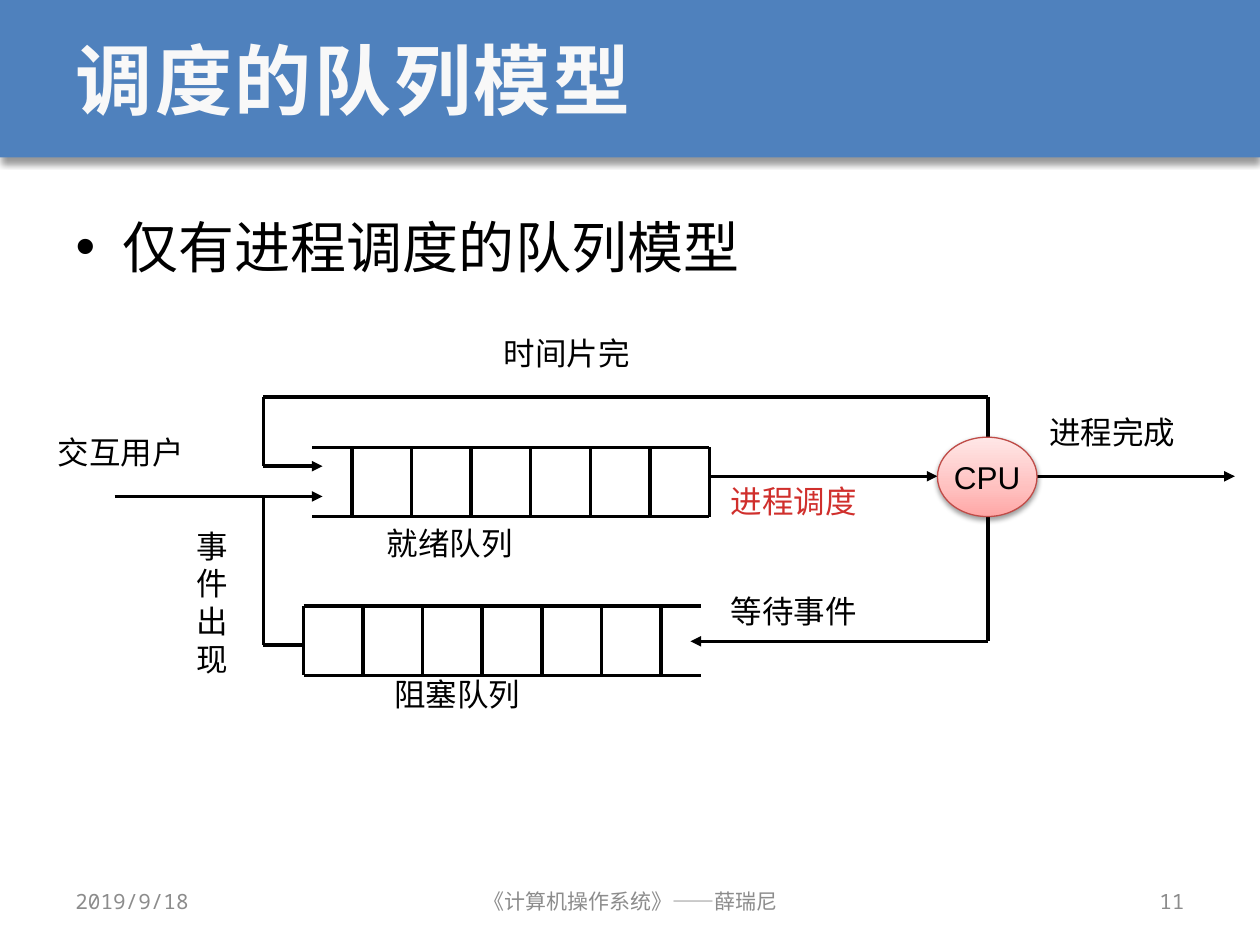
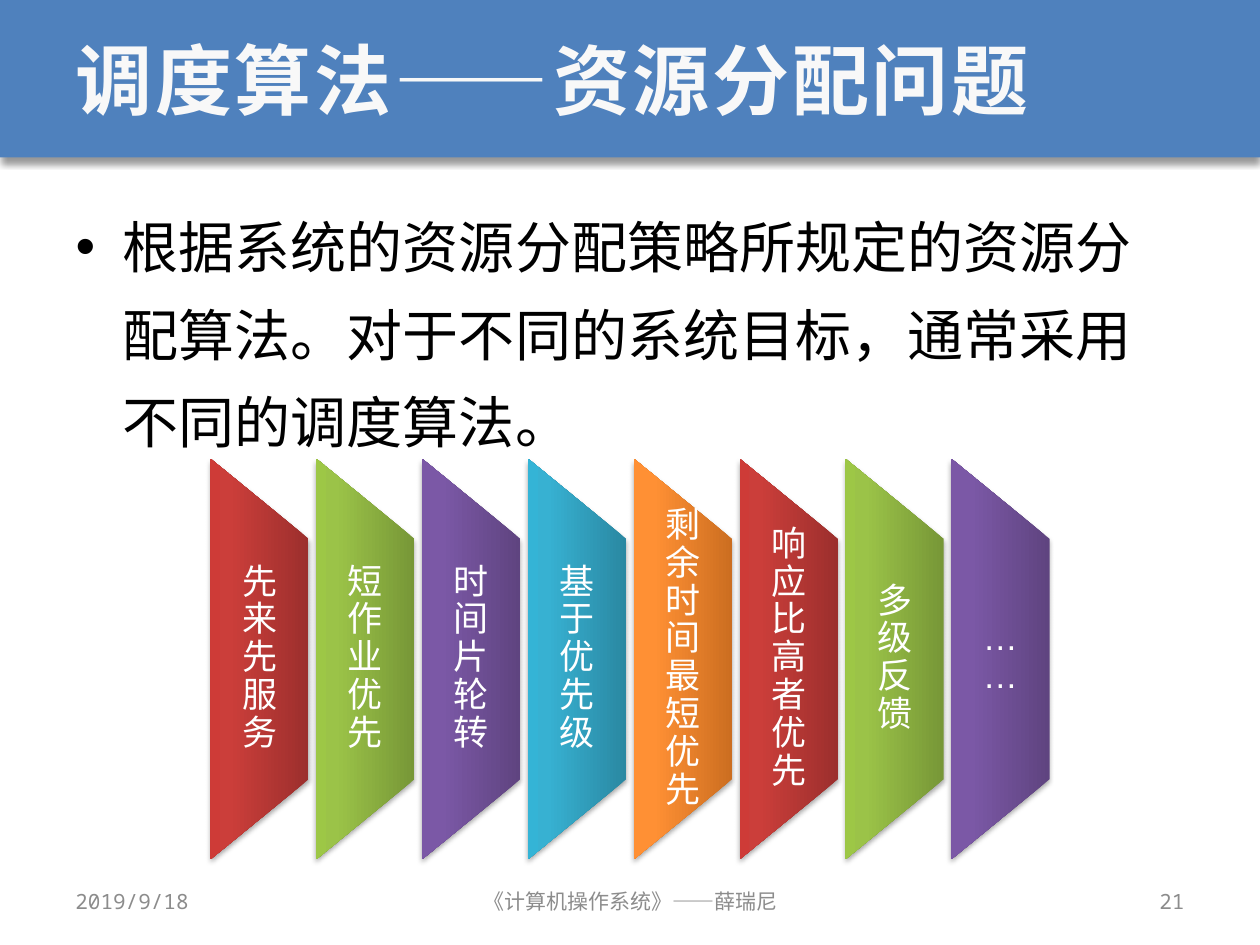
from itertools import cycle, pairwise

from lxml import etree
from pptx import Presentation
from pptx.dml.color import RGBColor
from pptx.enum.shapes import MSO_CONNECTOR, MSO_SHAPE
from pptx.enum.text import MSO_ANCHOR, PP_ALIGN
from pptx.oxml.ns import qn
from pptx.util import Inches, Pt

RECT, OVAL = MSO_SHAPE.RECTANGLE, MSO_SHAPE.OVAL
BLADE = MSO_SHAPE.FLOWCHART_MANUAL_OPERATION
LINE = MSO_CONNECTOR.STRAIGHT
TOP, MIDDLE = MSO_ANCHOR.TOP, MSO_ANCHOR.MIDDLE
LEFT, CENTER, RIGHT = PP_ALIGN.LEFT, PP_ALIGN.CENTER, PP_ALIGN.RIGHT

BLACK = RGBColor(0x00, 0x00, 0x00)
WHITE = RGBColor(0xFF, 0xFF, 0xFF)
PALE = RGBColor(0xF8, 0xF8, 0xF8)
BLUE = RGBColor(0x4F, 0x81, 0xBD)
GRAY = RGBColor(0x8C, 0x8C, 0x8C)
RED = RGBColor(0xD0, 0x2F, 0x2C)
EDGE = RGBColor(0xBF, 0x4C, 0x48)


def stops(marks, *colors):
    return [(mark, RGBColor.from_string(c)) for mark, c in zip(marks, colors)]


PINK = stops((0, 35, 100), "FFA6A5", "FFC0BF", "FFE7E7")
SHADE = (0, 80, 100)
CRIMSON = stops(SHADE, "9C2F2D", "CB3E3A", "CE3B37")
GREEN = stops(SHADE, "779737", "9BC348", "9DC746")
PURPLE = stops(SHADE, "5F4480", "7B58A6", "7C57A8")
TEAL = stops(SHADE, "2A88A2", "37B1D2", "34B4D6")
ORANGE = stops(SHADE, "CC6E20", "FF9034", "FF9136")
BLADES = (CRIMSON, GREEN, PURPLE, TEAL, ORANGE)

SANS, MONO = "Arial", "Noto Sans Mono"
WIDTH, HEIGHT = 3.15, 0.55
STEP = WIDTH * 0.15
RULES = ("先来先服务", "短作业优先", "时间片轮转", "基于优先级",
         "剩余时间最短优先", "响应比高者优先", "多级反馈", "……")


def node(parent, tag, **attrs):
    return etree.SubElement(parent, qn(tag), attrs)


def place(shape, *box):
    shape.left, shape.top, shape.width, shape.height = map(Inches, box)


def write(frame, text, size, color=BLACK, font=SANS, align=LEFT):
    para = frame.paragraphs[0]
    para.text = text
    para.alignment = align
    para.font.size = Pt(size)
    para.font.name = font
    para.font.color.rgb = color
    return para


def label(slide, text, box, size=18, anchor=TOP, inset=None, **style):
    frame = slide.shapes.add_textbox(*map(Inches, box)).text_frame
    frame.word_wrap = True
    frame.vertical_anchor = anchor
    if inset is not None:
        frame.margin_left = frame.margin_right = Inches(inset)
        frame.margin_top = frame.margin_bottom = 0
    return write(frame, text, size, **style)


def shade(shape, alpha, blur, dist):
    shape.shadow.inherit = False
    effects = shape._element.spPr.find(qn("a:effectLst"))
    outer = node(effects, "a:outerShdw", blurRad=str(Pt(blur)),
                 dist=str(Pt(dist)), dir="5400000", rotWithShape="0")
    color = node(outer, "a:srgbClr", val="000000")
    node(color, "a:alpha", val=str(alpha * 1000))


def blend(shape, colors):
    shape.fill.gradient()
    shape.fill.gradient_angle = 90
    marks = shape._element.spPr.find(qn("a:gradFill")).find(qn("a:gsLst"))
    for old in list(marks):
        marks.remove(old)
    for mark, color in colors:
        stop = node(marks, "a:gs", pos=str(mark * 1000))
        node(stop, "a:srgbClr", val=str(color))


def route(slide, *points, arrow=False):
    for start, end in pairwise(points):
        line = slide.shapes.add_connector(LINE, *map(Inches, start + end))
        line.line.color.rgb = BLACK
        line.line.width = Pt(2)
        node(line._element.spPr, "a:effectLst")
    if arrow:
        node(line.line._ln, "a:tailEnd", type="triangle")


def queue(slide, left, top, shut, step):
    low = top + HEIGHT
    for y in (top, low):
        route(slide, (left, y), (left + WIDTH, y))
    for i in range(7):
        x = shut + i * step
        route(slide, (x, top), (x, low))


def band(slide, layout):
    bar = slide.shapes.add_shape(RECT, 0, 0, Inches(10), Inches(1.25))
    bar.fill.solid()
    bar.fill.fore_color.rgb = BLUE
    bar.line.fill.background()
    shade(bar, 40, 4, 3)
    layout.shapes._spTree.insert(2, bar._element)


def page(prs, title, body, number):
    slide = prs.slides.add_slide(prs.slide_layouts[1])
    head, main_text = slide.placeholders
    place(head, 0.5, 0, 9, 1.25)
    head.text_frame.vertical_anchor = MIDDLE
    para = write(head.text_frame, title, 44, PALE, MONO)
    para.font.bold = True
    para.runs[0]._r.get_or_add_rPr().set("spc", "150")
    place(main_text, 0.5, 1.48, 9, 5.33)
    write(main_text.text_frame, body, 32, BLACK, MONO).line_spacing = 1.3
    for text, left, width, align in (
            ("2019/9/18", 0.5, 2.33, LEFT),
            ("《计算机操作系统》——薛瑞尼", 3.42, 3.17, CENTER),
            (number, 7.17, 2.33, RIGHT)):
        label(slide, text, (left, 6.95, width, 0.4), 12, MIDDLE,
              color=GRAY, font=MONO, align=align)
    return slide


def model(slide):
    queue(slide, 2.48, 3.55, 5.63, -STEP)
    queue(slide, 2.41, 4.81, 2.41, STEP)
    route(slide, (5.63, 3.78), (7.44, 3.78), arrow=True)
    route(slide, (8.23, 3.78), (9.8, 3.78), arrow=True)
    route(slide, (7.84, 3.47), (7.84, 3.15), (2.09, 3.15), (2.09, 3.7),
          (2.56, 3.7), arrow=True)
    route(slide, (0.91, 3.94), (2.56, 3.94), arrow=True)
    route(slide, (2.09, 3.94), (2.09, 5.12), (2.41, 5.12))
    route(slide, (7.84, 4.1), (7.84, 5.09), (5.48, 5.09), arrow=True)
    cpu = slide.shapes.add_shape(
        OVAL, *map(Inches, (7.44, 3.47, 0.79, 0.63)))
    blend(cpu, PINK)
    cpu.line.color.rgb = EDGE
    cpu.line.width = Pt(0.75)
    shade(cpu, 38, 3.1, 1.6)
    cpu.text_frame.word_wrap = False
    cpu.text_frame.vertical_anchor = MIDDLE
    write(cpu.text_frame, "CPU", 18, align=CENTER)
    for text, *box in (
            ("就绪队列", 2.97, 4.11, 1.33, 0.4),
            ("阻塞队列", 3.03, 5.31, 1.38, 0.4),
            ("交互用户", 0.36, 3.39, 1.54, 0.5),
            ("时间片完", 3.9, 2.6, 1.54, 0.5),
            ("进程完成", 8.23, 3.23, 1.77, 0.5),
            ("等待事件", 5.7, 4.65, 1.89, 0.5),
            ("事件出现", 1.46, 4.13, 0.56, 1.31)):
        label(slide, text, box)
    label(slide, "进程调度", (5.7, 3.78, 1.89, 0.4), color=RED)


def blades(slide):
    for i, (text, colors) in enumerate(zip(RULES, rule_colors())):
        mid = 2.06 + 0.84 * i
        blade = slide.shapes.add_shape(
            BLADE, *map(Inches, (mid - 1.59, 4.84, 3.18, 0.78)))
        blade.rotation = 270
        blend(blade, colors)
        blade.line.fill.background()
        shade(blade, 35, 3.1, 1.8)
        para = label(slide, text, (mid - 0.39, 4.27, 0.78, 1.91), 20, MIDDLE,
                     inset=0.14, color=WHITE, align=CENTER)
        para.line_spacing = 0.9


def rule_colors():
    return cycle(BLADES)


def main():
    prs = Presentation()
    prs.slide_width, prs.slide_height = Inches(10), Inches(7.5)
    first = page(prs, "调度的队列模型", "仅有进程调度的队列模型", "11")
    band(first, prs.slide_layouts[1])
    model(first)
    second = page(
        prs, "调度算法——资源分配问题",
        "根据系统的资源分配策略所规定的资源分配算法。"
        "对于不同的系统目标，通常采用不同的调度算法。", "21")
    blades(second)
    prs.save("out.pptx")


if __name__ == "__main__":
    main()
